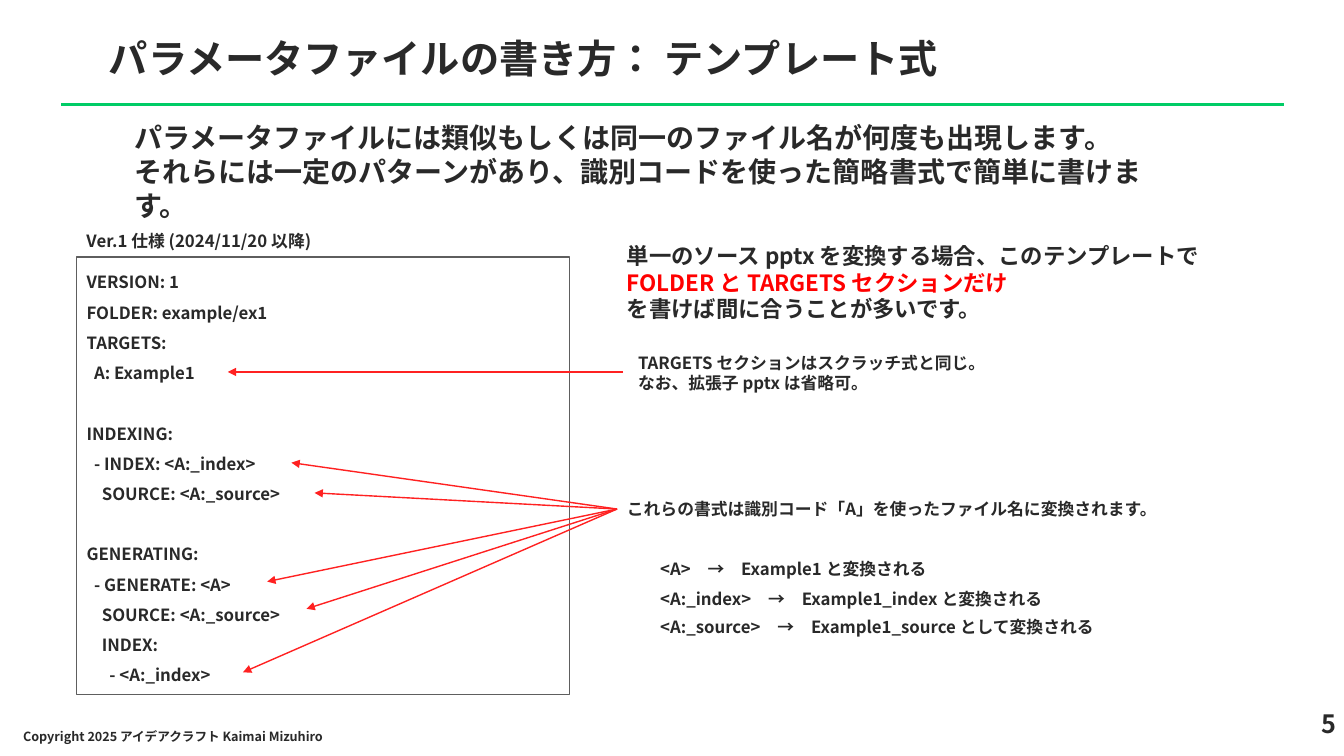
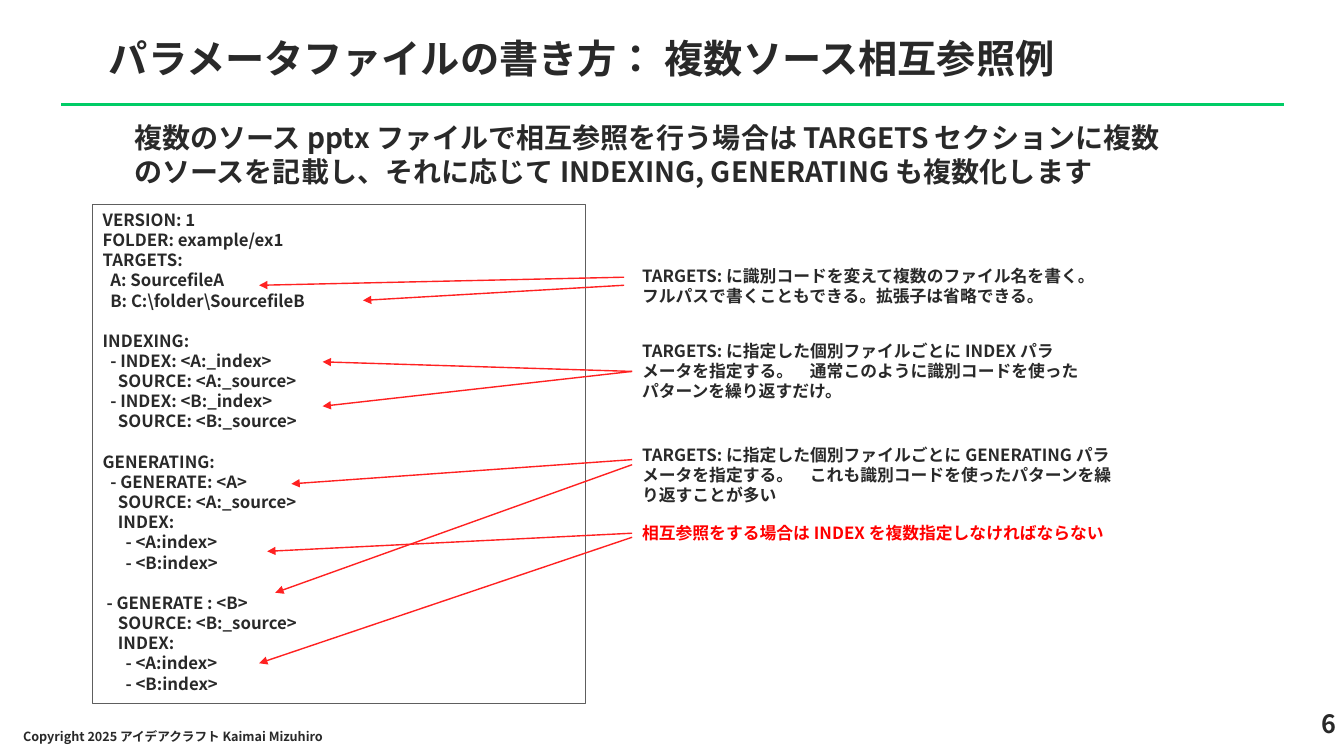
from typing import NamedTuple

from pptx import Presentation
from pptx.dml.color import RGBColor
from pptx.enum.lang import MSO_LANGUAGE_ID
from pptx.enum.shapes import MSO_CONNECTOR, MSO_SHAPE
from pptx.enum.text import MSO_ANCHOR, MSO_AUTO_SIZE, PP_ALIGN
from pptx.oxml.ns import qn
from pptx.util import Inches, Pt

INK = RGBColor(0x29, 0x29, 0x29)
GREEN = RGBColor(0x00, 0xCC, 0x66)
GREY = RGBColor(0x5E, 0x5E, 0x5E)
ARROW_RED = RGBColor(0xFF, 0x21, 0x21)
ALERT_RED = RGBColor(0xFF, 0x00, 0x00)
WHITE = RGBColor(0xFF, 0xFF, 0xFF)
FONT = "Noto Sans CJK JP"
LINE_PITCH = 1.2  # line height as a share of the text size
NOTE_SIZE = 12
COPYRIGHT = "Copyright 2025 アイデアクラフト Kaimai Mizuhiro"


class Box(NamedTuple):
    left: float
    top: float
    width: float
    height: float

    def inches(self):
        return [Inches(value) for value in self]


class Note(NamedTuple):
    """Arrows are (start from the note's corner, tip from the code's corner).

    A start of None joins the arrow to the middle of the note's left side.
    """
    box: Box
    paragraphs: list
    size: int = NOTE_SIZE
    arrows: tuple = ()


TITLE_BOX = Box(0.98, 0.29, 11.98, 0.63)
LEAD_BOX = Box(1.23, 1.15, 10.47, 0.77)
COPYRIGHT_BOX = Box(0.13, 7.17, 5.52, 0.28)
NUMBER_BOX = Box(11.71, 6.98, 1.64, 0.5)


# Text helpers
def set_all(target, values):
    for name, value in values.items():
        setattr(target, name, value)


def add_span(para, text, size, color):
    span = para.add_run()
    span.text = text
    set_all(span.font, {
        "name": FONT,
        "size": Pt(size),
        "bold": True,
        "language_id": MSO_LANGUAGE_ID.JAPANESE,
    })
    span.font.color.rgb = color
    properties = span.font._element
    east_asian = properties.makeelement(qn("a:ea"), {"typeface": FONT})
    properties.find(qn("a:latin")).addnext(east_asian)


def fill_text(shape, paragraphs, size, anchor=MSO_ANCHOR.TOP, align=PP_ALIGN.LEFT):
    """Each paragraph is a string or a list of (text, color) spans."""
    frame = shape.text_frame
    set_all(frame, {
        "word_wrap": True,
        "auto_size": MSO_AUTO_SIZE.NONE,
        "vertical_anchor": anchor,
        "margin_left": Inches(0.1),
        "margin_right": Inches(0.1),
        "margin_top": Inches(0.05),
        "margin_bottom": Inches(0.05),
    })
    for index, content in enumerate(paragraphs):
        para = frame.add_paragraph() if index else frame.paragraphs[0]
        set_all(para, {"alignment": align, "space_before": Pt(0)})
        spans = [(content, INK)] if isinstance(content, str) else content
        for text, color in spans:
            add_span(para, text, size, color)
    return frame.paragraphs


def add_text(page, box, paragraphs, size, **layout):
    shape = page.shapes.add_textbox(*box.inches())
    fill_text(shape, paragraphs, size, **layout)
    return shape


def add_line(page, start, end, color, width):
    points = [Inches(value) for value in (*start, *end)]
    line = page.shapes.add_connector(MSO_CONNECTOR.STRAIGHT, *points)
    line.line.color.rgb = color
    line.line.width = Pt(width)
    properties = line._element.spPr
    properties.append(properties.makeelement(qn("a:effectLst"), {}))
    return line


# Title, rule, lead and footer shared by the slides
def add_page(deck, number, title, lead):
    page = deck.slides.add_slide(deck.slide_layouts[1])
    names = ("left", "top", "width", "height")
    placeholders = (
        (page.shapes.title, TITLE_BOX, [title], 28),
        (page.placeholders[1], LEAD_BOX, lead, 20),
    )
    for shape, box, paragraphs, size in placeholders:
        set_all(shape, dict(zip(names, box.inches())))
        for para in fill_text(shape, paragraphs, size):
            properties = para._p.get_or_add_pPr()
            for name in ("marL", "indent", "hangingPunct"):
                properties.set(name, "0")
            properties.append(properties.makeelement(qn("a:buNone"), {}))
    add_line(page, (0.61, 1.04), (12.73, 1.04), GREEN, 2.25)
    add_text(page, COPYRIGHT_BOX, [COPYRIGHT], 9, anchor=MSO_ANCHOR.MIDDLE)
    add_text(page, NUMBER_BOX, [str(number)], 18, align=PP_ALIGN.RIGHT)
    return page


# Framed parameter file; an empty line in the code becomes space before
def add_code(page, box, code, spacing):
    frame = page.shapes.add_shape(MSO_SHAPE.RECTANGLE, *box.inches())
    frame.shadow.inherit = False
    frame.fill.solid()
    frame.fill.fore_color.rgb = WHITE
    frame.line.color.rgb = GREY
    frame.line.width = Pt(1)
    blocks = [block.split("\n") for block in code.split("\n\n")]
    paragraphs = fill_text(frame, [row for block in blocks for row in block], NOTE_SIZE)
    for para in paragraphs:
        para.line_spacing = spacing
    first_row = 0
    for block in blocks[:-1]:
        first_row += len(block)
        paragraphs[first_row].space_before = Pt(NOTE_SIZE * LINE_PITCH * spacing)


# Explanation with arrows into the code
def add_note(page, note, code_box):
    box = note.box
    shape = add_text(page, box, note.paragraphs, note.size)
    for offset, tip in note.arrows:
        dx, dy = offset or (0, box.height / 2)
        start = (box.left + dx, box.top + dy)
        end = (code_box.left + tip[0], code_box.top + tip[1])
        arrow = add_line(page, start, end, ARROW_RED, 1)
        if offset is None:
            arrow.begin_connect(shape, 1)
        outline = arrow._element.spPr.find(qn("a:ln"))
        outline.append(outline.makeelement(qn("a:tailEnd"), {"type": "triangle"}))


def add_code_page(deck, number, title, lead, code_box, code, spacing, notes):
    page = add_page(deck, number, title, lead)
    add_code(page, code_box, code, spacing)
    for note in notes:
        add_note(page, note, code_box)


TEMPLATE_CODE = """VERSION: 1
FOLDER: example/ex1
TARGETS:
  A: Example1

INDEXING:
  - INDEX: <A:_index>
    SOURCE: <A:_source>

GENERATING:
  - GENERATE: <A>
    SOURCE: <A:_source>
    INDEX:
      - <A:_index>"""

TEMPLATE_NOTES = [
    Note(Box(0.76, 2.24, 3.54, 0.3), ["Ver.1 仕様 (2024/11/20 以降)"]),
    Note(Box(6.12, 2.35, 5.91, 0.91), [
        [("単一のソース pptx を変換する場合、このテンプレートで ", INK),
         ("FOLDER と TARGETS セクションだけ", ALERT_RED)],
        "を書けば間に合うことが多いです。",
    ], size=16),
    Note(Box(6.23, 3.45, 4.57, 0.5), [
        "TARGETS セクションはスクラッチ式と同じ。",
        "なお、拡張子 pptx は省略可。",
    ], arrows=(((-0.05, 0.24), (1.5, 1.14)),)),
    Note(Box(6.12, 4.9, 5.57, 0.3),
         ["これらの書式は識別コード「A」を使ったファイル名に変換されます。"],
         arrows=tuple((None, tip) for tip in (
             (2.13, 2.04), (2.36, 2.34), (1.89, 3.22), (2.28, 3.49), (1.65, 4.12)))),
    *(Note(Box(6.45, top, 5.57, 0.3), [f"{code}　→　{result}"])
      for top, code, result in (
          (5.49, "<A>", "Example1 と変換される"),
          (5.79, "<A:_index>", "Example1_index と変換される"),
          (6.07, "<A:_source>", "Example1_source として変換される"))),
]

CROSS_CODE = r"""VERSION: 1
FOLDER: example/ex1
TARGETS:
  A: SourcefileA
  B: C:\folder\SourcefileB

INDEXING:
  - INDEX: <A:_index>
    SOURCE: <A:_source>
  - INDEX: <B:_index>
    SOURCE: <B:_source>

GENERATING:
  - GENERATE: <A>
    SOURCE: <A:_source>
    INDEX:
      - <A:index>
      - <B:index>

 - GENERATE : <B>
    SOURCE: <B:_source>
    INDEX:
      - <A:index>
      - <B:index>"""

CROSS_NOTES = [
    Note(Box(6.27, 2.59, 4.89, 0.5), [
        "TARGETS: に識別コードを変えて複数のファイル名を書く。",
        "フルパスで書くこともできる。拡張子は省略できる。",
    ], arrows=(((-0.08, 0.16), (1.65, 0.8)), ((-0.08, 0.24), (2.68, 0.95)))),
    Note(Box(6.27, 3.33, 4.57, 0.71), [
        "TARGETS: に指定した個別ファイルごとに INDEX パラメータを指定する。"
        "　通常このように識別コードを使ったパターンを繰り返すだけ。",
    ], arrows=((None, (2.28, 1.56)), (None, (2.28, 2.0)))),
    Note(Box(6.27, 4.36, 4.89, 0.71), [
        "TARGETS: に指定した個別ファイルごとに GENERATING パラメータを指定する。"
        "　これも識別コードを使ったパターンを繰り返すことが多い",
    ], arrows=(((0, 0.2), (1.97, 2.77)), ((0, 0.25), (1.81, 3.85)))),
    Note(Box(6.27, 5.14, 4.89, 0.3), [
        [("相互参照をする場合は INDEX を複数指定しなければならない", ALERT_RED)],
    ], arrows=((None, (1.73, 3.44)), ((0, 0.19), (1.65, 4.55)))),
]


def main():
    deck = Presentation()
    deck.slide_width, deck.slide_height = Inches(13.33), Inches(7.5)
    add_code_page(
        deck, 5, "パラメータファイルの書き方： テンプレート式",
        ["パラメータファイルには類似もしくは同一のファイル名が何度も出現します。",
         "それらには一定のパターンがあり、識別コードを使った簡略書式で簡単に書けます。"],
        Box(0.76, 2.55, 4.89, 4.34), TEMPLATE_CODE, 1.5, TEMPLATE_NOTES)
    add_code_page(
        deck, 6, "パラメータファイルの書き方： 複数ソース相互参照例",
        ["複数のソース pptx ファイルで相互参照を行う場合は TARGETS セクションに複数のソースを"
         "記載し、それに応じて INDEXING, GENERATING も複数化します"],
        Box(0.92, 2.03, 4.89, 4.95), CROSS_CODE, 1.0, CROSS_NOTES)
    deck.save("out.pptx")


if __name__ == "__main__":
    main()
